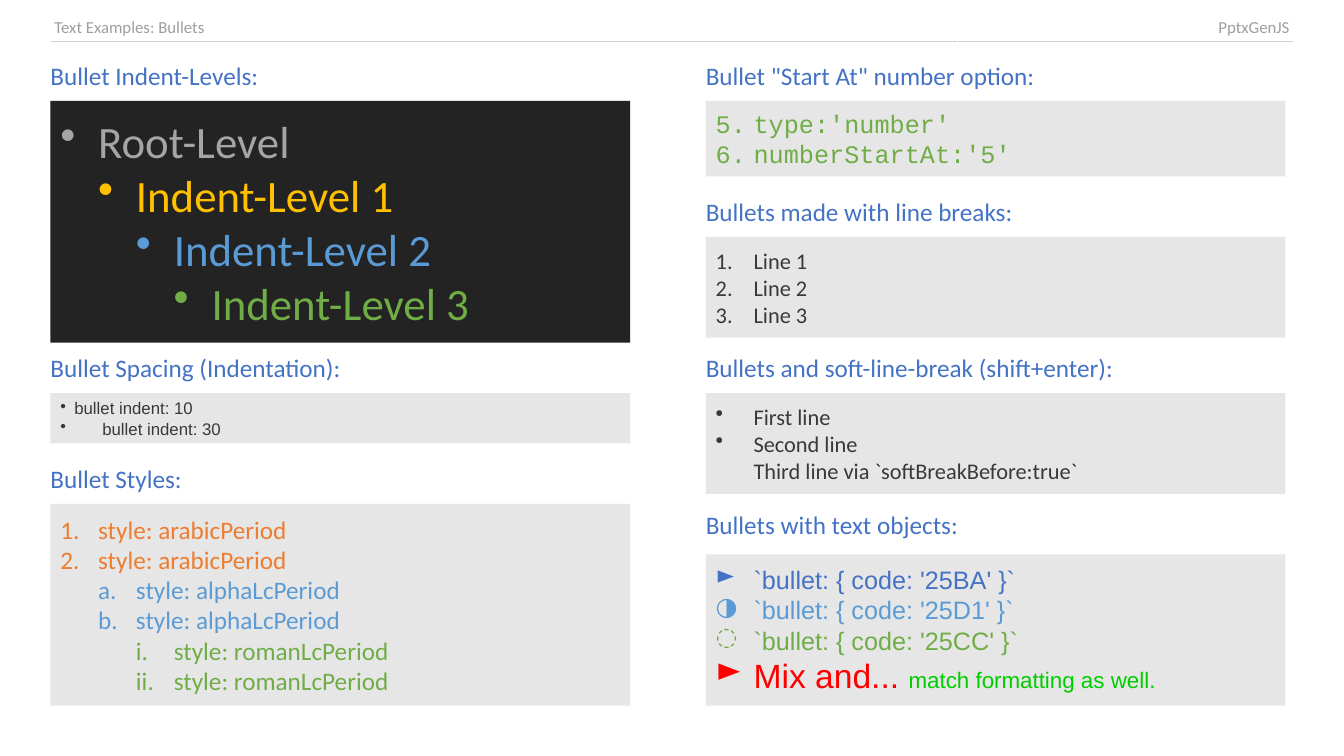
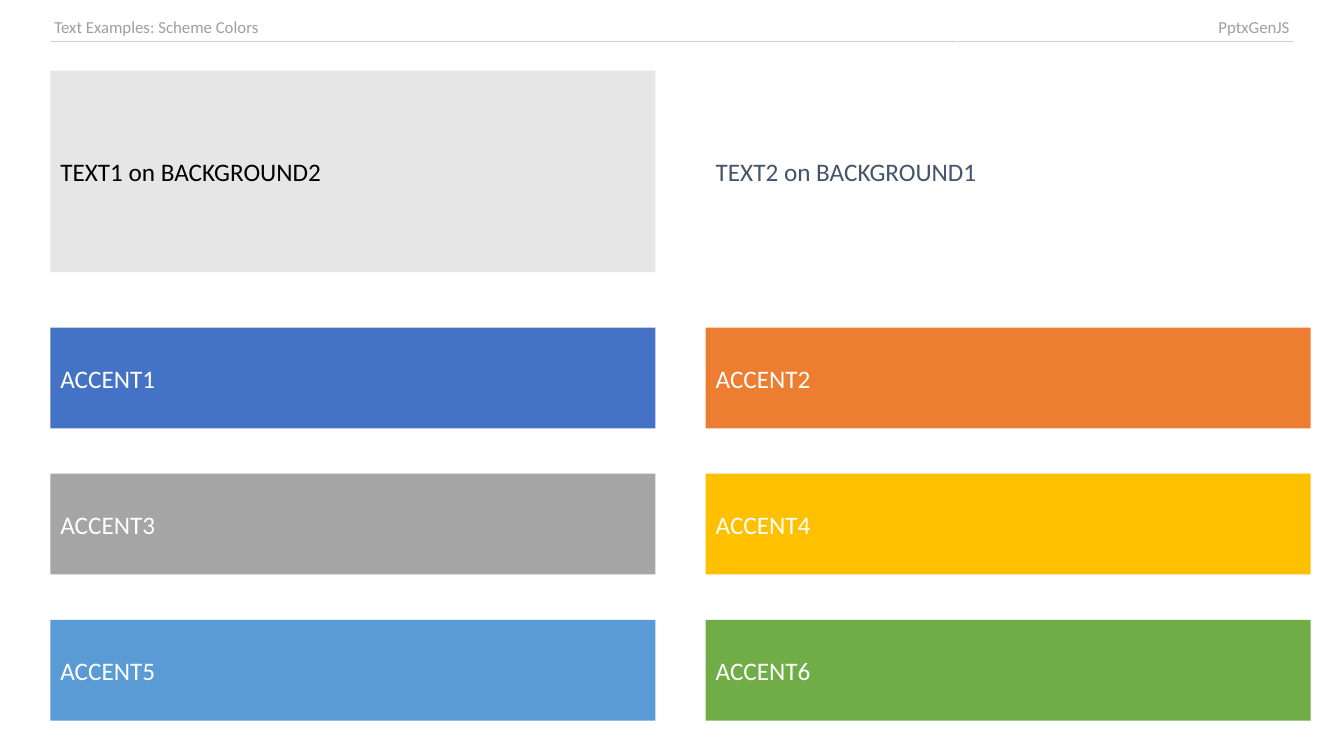
from dataclasses import dataclass

from lxml.etree import SubElement
from pptx import Presentation
from pptx.dml.color import RGBColor
from pptx.enum.shapes import MSO_SHAPE
from pptx.enum.text import MSO_ANCHOR, PP_ALIGN
from pptx.oxml.ns import qn
from pptx.util import Inches, Pt


@dataclass(frozen=True)
class Theme:
    """Colours, fonts and type sizes shared by the slides."""
    white: str = "FFFFFF"
    black: str = "000000"
    slate: str = "44546A"
    panel: str = "E7E6E6"
    dark_panel: str = "232323"
    body: str = "393939"
    header: str = "9F9F9F"
    rule: str = "CFCFCF"
    blue: str = "4472C4"
    orange: str = "ED7D31"
    gray: str = "A5A5A5"
    gold: str = "FFC000"
    sky: str = "5B9BD5"
    green: str = "70AD47"
    red: str = "FF0000"
    lime: str = "00CD00"
    font: str = "Calibri"
    sans: str = "Arial"
    mono: str = "Courier New"
    small: int = 12
    medium: int = 16
    normal: int = 18
    large: int = 24
    huge: int = 32


THEME = Theme()
LEFT, RIGHT = 0.5, 7
PANEL_WIDTH = 5.75


@dataclass(frozen=True)
class Bullet:
    """One bulleted paragraph; its marker is a character or a numbering style."""
    text: str
    color: str
    marker: str = "•"
    level: int = 0
    indent: int = 27
    start: int = 1
    size: int = 0
    tail: str = ""


def style_run(run, size, color, font=THEME.font):
    """Set the size, colour and font of a run."""
    run.font.size = Pt(size)
    run.font.name = font
    run.font.color.rgb = RGBColor.from_string(color)


def write_line(paragraph, text, size, color, font=THEME.font):
    """Write text, with any line breaks, into a paragraph."""
    paragraph.text = text
    for run in paragraph.runs:
        style_run(run, size, color, font)
    for line_break in paragraph._p.findall(qn("a:br")):
        SubElement(line_break, qn("a:rPr"), sz=str(size * 100))


def set_bullet(paragraph, bullet):
    """Give a paragraph its marker and hanging indent."""
    paragraph.level = bullet.level
    properties = paragraph._p.get_or_add_pPr()
    properties.set("marL", str(Pt(bullet.indent * (bullet.level + 1))))
    properties.set("indent", str(-Pt(bullet.indent)))
    SubElement(properties, qn("a:buSzPct"), val="100000")
    if len(bullet.marker) == 1:
        SubElement(properties, qn("a:buChar"), char=bullet.marker)
    else:
        numbering = SubElement(properties, qn("a:buAutoNum"), type=bullet.marker)
        if bullet.start > 1:
            numbering.set("startAt", str(bullet.start))


def add_header(slide, title):
    """Add the underlined header row."""
    shape = slide.shapes.add_table(1, 2, Inches(LEFT), Inches(0.13), Inches(12.33), Inches(0.28))
    table = shape.table
    table.first_row = table.horz_banding = False
    columns = ((title, 9, PP_ALIGN.LEFT), ("PptxGenJS", 3.33, PP_ALIGN.RIGHT))
    for index, (text, width, alignment) in enumerate(columns):
        table.columns[index].width = Inches(width)
        cell = table.cell(0, index)
        cell.margin_left = cell.margin_right = Inches(0.04)
        cell.margin_top = cell.margin_bottom = Inches(0.04)
        paragraph = cell.text_frame.paragraphs[0]
        paragraph.alignment = alignment
        write_line(paragraph, text, THEME.small, THEME.header)
        border = SubElement(cell._tc.get_or_add_tcPr(), qn("a:lnB"), w=str(Pt(1)))
        border_fill = SubElement(border, qn("a:solidFill"))
        SubElement(border_fill, qn("a:srgbClr"), val=THEME.rule)
        cell.fill.background()


def add_heading(slide, left, top, text):
    """Add the heading above a panel."""
    box = slide.shapes.add_textbox(Inches(left), Inches(top), Inches(PANEL_WIDTH), Inches(0.3))
    frame = box.text_frame
    frame.word_wrap = True
    frame.vertical_anchor = MSO_ANCHOR.MIDDLE
    frame.margin_left = frame.margin_right = frame.margin_top = frame.margin_bottom = 0
    write_line(frame.paragraphs[0], text, THEME.normal, THEME.blue)


def add_panel(slide, left, top, width, height, fill):
    """Add a filled rectangle and return its text frame."""
    shape = slide.shapes.add_shape(
        MSO_SHAPE.RECTANGLE, Inches(left), Inches(top), Inches(width), Inches(height))
    shape.shadow.inherit = False
    shape.fill.solid()
    shape.fill.fore_color.rgb = RGBColor.from_string(fill)
    shape.line.fill.background()
    frame = shape.text_frame
    frame.word_wrap = True
    frame.vertical_anchor = MSO_ANCHOR.MIDDLE
    frame.paragraphs[0].alignment = PP_ALIGN.LEFT
    return frame


def add_bullet_panel(slide, left, top, height, bullets, size,
                     font=THEME.font, fill=THEME.panel):
    """Add a panel holding a bulleted list."""
    frame = add_panel(slide, left, top, PANEL_WIDTH, height, fill)
    for index, bullet in enumerate(bullets):
        paragraph = frame.add_paragraph() if index else frame.paragraphs[0]
        paragraph.alignment = PP_ALIGN.LEFT
        write_line(paragraph, bullet.text, bullet.size or size, bullet.color, font)
        set_bullet(paragraph, bullet)
        if bullet.tail:
            run = paragraph.add_run()
            run.text = bullet.tail
            style_run(run, THEME.medium, THEME.lime, font)


def add_color_panel(slide, left, top, height, text, fill, color=THEME.white):
    """Add a labelled colour sample."""
    frame = add_panel(slide, left, top, 6, height, fill)
    write_line(frame.paragraphs[0], text, THEME.normal, color)


def build_bullets(slide):
    """Build the slide of bullet examples."""
    add_header(slide, "Text Examples: Bullets")
    headings = (
        (LEFT, 0.6, "Bullet Indent-Levels:"),
        (LEFT, 3.5, "Bullet Spacing (Indentation):"),
        (LEFT, 4.6, "Bullet Styles:"),
        (RIGHT, 0.6, 'Bullet "Start At" number option:'),
        (RIGHT, 1.95, "Bullets made with line breaks:"),
        (RIGHT, 3.5, "Bullets and soft-line-break (shift+enter):"),
        (RIGHT, 5.05, "Bullets with text objects:"),
    )
    for left, top, text in headings:
        add_heading(slide, left, top, text)

    level_colors = (THEME.gray, THEME.gold, THEME.sky, THEME.green)
    levels = [Bullet(f"Indent-Level {level}" if level else "Root-Level", color, level=level)
              for level, color in enumerate(level_colors)]
    add_bullet_panel(slide, LEFT, 1, 2.4, levels, THEME.huge, fill=THEME.dark_panel)

    spacings = [Bullet(f"bullet indent: {points}", THEME.body, indent=points)
                for points in (10, 30)]
    add_bullet_panel(slide, LEFT, 3.9, 0.5, spacings, THEME.small, THEME.sans)

    style_colors = (("arabicPeriod", THEME.orange), ("alphaLcPeriod", THEME.sky),
                    ("romanLcPeriod", THEME.green))
    styles = [Bullet(f"style: {style}", color, style, level)
              for level, (style, color) in enumerate(style_colors) for _ in range(2)]
    add_bullet_panel(slide, LEFT, 5, 2, styles, THEME.normal)

    options = [Bullet(text, THEME.green, "arabicPeriod", start=5)
               for text in ("type:'number'", "numberStartAt:'5'")]
    add_bullet_panel(slide, RIGHT, 1, 0.75, options, THEME.normal, THEME.mono)

    lines = [Bullet(f"Line {number}", THEME.body, "arabicPeriod") for number in (1, 2, 3)]
    add_bullet_panel(slide, RIGHT, 2.35, 1, lines, THEME.medium)

    soft_breaks = [Bullet(text, THEME.body) for text in (
        "First line", "Second line\nThird line via `softBreakBefore:true`")]
    add_bullet_panel(slide, RIGHT, 3.9, 1, soft_breaks, THEME.medium)

    symbols = (("►", THEME.blue), ("◑", THEME.sky), ("◌", THEME.green))
    text_objects = [Bullet(f"`bullet: {{ code: '{ord(symbol):X}' }}`", color, symbol)
                    for symbol, color in symbols]
    text_objects.append(Bullet("Mix and... ", THEME.red, "►", size=THEME.large,
                               tail="match formatting as well."))
    add_bullet_panel(slide, RIGHT, 5.5, 1.5, text_objects, THEME.normal, THEME.sans)


def build_scheme_colors(slide):
    """Build the slide of scheme colours."""
    add_header(slide, "Text Examples: Scheme Colors")
    add_color_panel(slide, LEFT, 0.7, 2, "TEXT1 on BACKGROUND2", THEME.panel, THEME.black)
    add_color_panel(slide, RIGHT, 0.7, 2, "TEXT2 on BACKGROUND1", THEME.white, THEME.slate)
    accents = (THEME.blue, THEME.orange, THEME.gray, THEME.gold, THEME.sky, THEME.green)
    for index, accent in enumerate(accents):
        row, column = divmod(index, 2)
        add_color_panel(slide, (LEFT, RIGHT)[column], 3.25 + 1.45 * row, 1,
                        f"ACCENT{index + 1}", accent)


def main():
    """Build and save the presentation."""
    presentation = Presentation()
    presentation.slide_width = Inches(13.33)
    presentation.slide_height = Inches(7.5)
    for build in (build_bullets, build_scheme_colors):
        build(presentation.slides.add_slide(presentation.slide_layouts[6]))
    presentation.save("out.pptx")


main()
